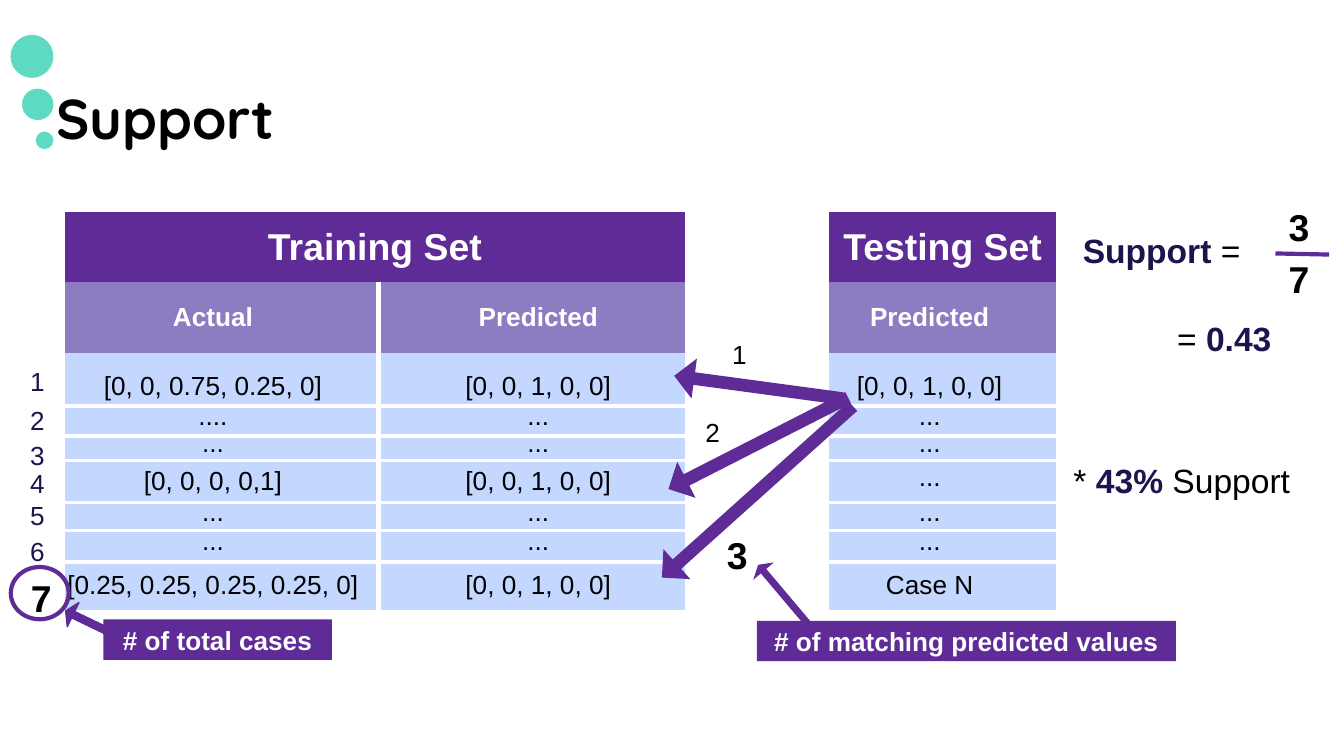
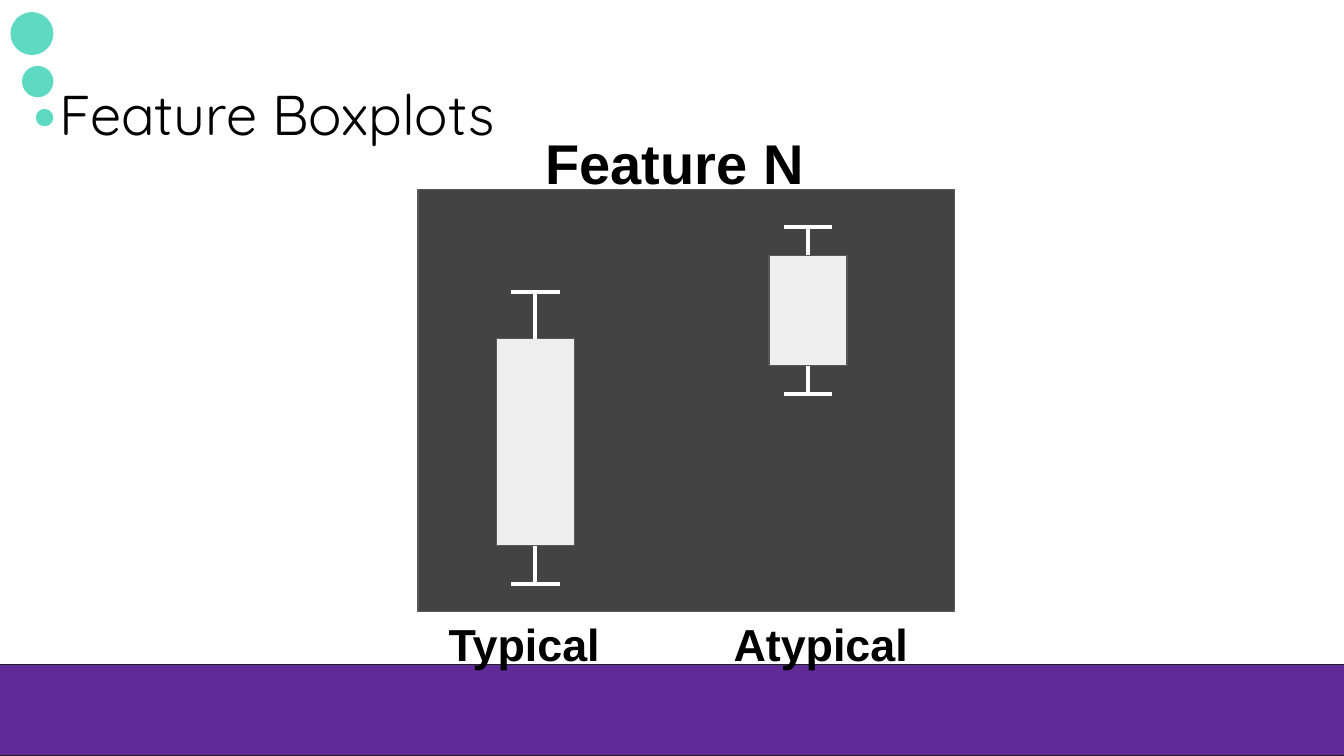
from lxml.etree import SubElement
from pptx import Presentation
from pptx.dml.color import RGBColor
from pptx.enum.shapes import MSO_CONNECTOR, MSO_SHAPE
from pptx.enum.text import MSO_ANCHOR, MSO_AUTO_SIZE, PP_ALIGN
from pptx.oxml.ns import qn
from pptx.util import Pt

PURPLE, LILAC, PALE, NAVY = "5E2B97", "8E7CC3", "C4D7FF", "20124D"
TEAL, WHITE, BLACK = "5FDAC2", "FFFFFF", "000000"
CHARCOAL, GREY, LIGHT, INK = "434343", "595959", "EEEEEE", "212121"
ROW_HEIGHTS = [37.4, 38, 28.5, 16, 13, 22.5, 15, 17, 25.5]
MATCH = "[0, 0, 1, 0, 0]"


def paint(color, value):
    """Give a colour format a hex value."""
    color.rgb = RGBColor.from_string(value)


def points(*lengths):
    """Turn numbers into point lengths."""
    return [Pt(length) for length in lengths]


def apply(target, values):
    """Set each attribute named in a dict of format values."""
    for name, value in values.items():
        setattr(target, name, value)


def write(frame, spans, size, align=PP_ALIGN.LEFT, anchor=MSO_ANCHOR.TOP, margin=7.2, font="Arial"):
    """Write one paragraph of (text, colour, bold) spans."""
    apply(frame, {"word_wrap": True, "auto_size": MSO_AUTO_SIZE.NONE, "vertical_anchor": anchor})
    apply(frame, {f"margin_{side}": Pt(margin) for side in ("left", "right", "top", "bottom")})
    para = frame.paragraphs[0]
    para.alignment = align
    for text, color, bold in spans:
        span = para.add_run()
        span.text = text
        apply(span.font, {"name": font, "size": Pt(size), "bold": bold})
        paint(span.font.color, color)


def add_label(page, box, spans, size, **layout):
    """Add a text box."""
    write(page.shapes.add_textbox(*points(*box)).text_frame, spans, size, **layout)


def add_figure(page, kind, box, fill=None, line=None, width=0.75, rotation=0):
    """Add a flat preset shape."""
    figure = page.shapes.add_shape(kind, *points(*box))
    figure.shadow.inherit = False
    figure.rotation = rotation
    if fill:
        figure.fill.solid()
        paint(figure.fill.fore_color, fill)
    else:
        figure.fill.background()
    if line:
        paint(figure.line.color, line)
        figure.line.width = Pt(width)
    else:
        figure.line.fill.background()
    return figure


def add_line(page, start, end, color):
    """Add a straight line without a shadow."""
    line = page.shapes.add_connector(MSO_CONNECTOR.STRAIGHT, *points(*start, *end))
    paint(line.line.color, color)
    line.line.width = Pt(2.25)
    SubElement(line._element.spPr, qn("a:effectLst"))
    return line


def add_arrow(page, box, rotation, adjustments, line=None):
    """Add a rotated purple block arrow."""
    arrow = add_figure(page, MSO_SHAPE.RIGHT_ARROW, box, PURPLE, line, rotation=rotation)
    for index, value in enumerate(adjustments):
        arrow.adjustments[index] = value


def add_heading(page, title, box, bold, dots_top):
    """Place the title and the three dots beside it."""
    apply(page.shapes.title, dict(zip(("left", "top", "width", "height"), points(*box))))
    write(page.shapes.title.text_frame, [(title, BLACK, bold)], 30, font="Quicksand")
    for size, offset in ((23, 0), (16.8, 28.8), (9.4, 51.8)):
        add_figure(page, MSO_SHAPE.OVAL, (28.6 - size, dots_top + offset, size, size), TEAL)


def set_borders(cell, widths):
    """Draw white cell borders of the given widths, and none at zero."""
    properties = cell._tc.get_or_add_tcPr()
    for side in "LRTB":
        width = widths.get(side, 0)
        border = SubElement(properties, qn(f"a:ln{side}"), w=str(Pt(width)))
        if width:
            fill = SubElement(border, qn("a:solidFill"))
            SubElement(fill, qn("a:srgbClr"), val=WHITE)
        else:
            SubElement(border, qn("a:noFill"))


def fill_cell(cell, text, row, margins):
    """Format one cell by the row it is in."""
    fill, color, size = [(PURPLE, WHITE, 20), (LILAC, WHITE, 14)][row] if row < 2 else (PALE, BLACK, 14)
    cell.fill.solid()
    paint(cell.fill.fore_color, fill)
    left, right = margins if row else (0, 0)
    apply(cell, {
        "margin_left": Pt(left), "margin_right": Pt(right), "margin_top": 0,
        "margin_bottom": Pt(3 if row == 2 else 0),
        "vertical_anchor": MSO_ANCHOR.BOTTOM if row == 2 else MSO_ANCHOR.MIDDLE,
    })
    para = cell.text_frame.paragraphs[0]
    para.alignment = PP_ALIGN.CENTER
    if text.startswith("..."):
        para.line_spacing = Pt(11)
    span = para.add_run()
    span.text = text
    apply(span.font, {"name": "Arial", "size": Pt(size), "bold": row < 2})
    paint(span.font.color, color)


def add_case_table(page, left, top, title, widths, margins, columns):
    """Add a data set as a table with a title row and a header row."""
    box = points(left, top, sum(widths), sum(ROW_HEIGHTS))
    table = page.shapes.add_table(len(ROW_HEIGHTS), len(widths), *box).table
    apply(table, {"first_row": False, "horz_banding": False})
    for row, height in zip(table.rows, ROW_HEIGHTS):
        row.height = Pt(height)
    last = len(widths) - 1
    for index, width in enumerate(widths):
        table.columns[index].width = Pt(width)
        for row in range(len(ROW_HEIGHTS)):
            cell = table.cell(row, index)
            set_borders(cell, {
                "L": 3 if row and index else 0,
                "R": 3 if row and index < last else 0,
                "T": 2.25 if row > 2 else 0,
                "B": 2.25 if 2 <= row < len(ROW_HEIGHTS) - 1 else 0,
            })
            text = columns[index][row - 1] if row else title if index == 0 else ""
            fill_cell(cell, text, row, margins[index])
    if last:
        table.cell(0, 0).merge(table.cell(0, last))


def add_case_numbers(page, left, top):
    """Number the training cases and ring the total."""
    for number, offset in enumerate((0, 20.9, 39.6, 54.8, 72, 90.8), 1):
        add_label(page, (left, top + offset, 26, 28), [(str(number), NAVY, False)], 14)
    add_label(page, (left + 0.5, top + 112.4, 26, 28), [("7", BLACK, True)], 20)
    add_figure(page, MSO_SHAPE.OVAL, (left - 3.2, top + 115.2, 31, 28), None, PURPLE, 2.25)


def add_matches(page, left, top):
    """Point from the testing case to each match and number them."""
    wide = (0.314, 0.5)
    add_arrow(page, (left + 15.2, top + 52.5, 108, 21.6), 153, wide)
    add_arrow(page, (left, top + 78.5, 137.5, 21.6), 138.1, wide)
    add_arrow(page, (left + 23.8, top + 22.4, 90.7, 21.6), 187.7, wide)
    for text, x, y, size in (("1", 48.2, 0, 14), ("2", 33.8, 41.8, 14), ("3", 45.4, 103.7, 20)):
        add_label(page, (left + x, top + y, 22.4, 28), [(text, BLACK, size == 20)], size)


def add_callout(page, box, text, arrow_box, rotation, line=None):
    """Add a purple tag with its small arrow."""
    add_arrow(page, arrow_box, rotation, (0.263, 0.31), line)
    tag = add_figure(page, MSO_SHAPE.RECTANGLE, box, PURPLE)
    write(tag.text_frame, [(text, WHITE, True)], 14, PP_ALIGN.CENTER, MSO_ANCHOR.MIDDLE)


def add_formula(page, left, top):
    """Work out the support value as a fraction."""
    add_label(page, (left + 5, top + 13.7, 118, 37.4), [("Support", NAVY, True), (" =", BLACK, False)], 18)
    add_line(page, (left + 115.3, top + 33.6), (left + 144, top + 34.2), PURPLE)
    for digit, offset in (("3", 0), ("7", 28.1)):
        add_label(page, (left + 115.3, top + offset, 22.4, 28), [(digit, BLACK, True)], 20)
    add_label(page, (left + 55.5, top + 63.4, 70.6, 31),
              [("= ", BLACK, False), ("0.43", NAVY, True)], 18, anchor=MSO_ANCHOR.MIDDLE)
    add_label(page, (left, top + 95, 150, 120.2),
              [("* ", BLACK, False), ("43%", NAVY, True), (" Support", BLACK, False)],
              18, anchor=MSO_ANCHOR.MIDDLE)


def add_boxplot(page, left, top, height, upper, lower):
    """Add one box with whiskers of the given lengths and their caps."""
    width, half_cap = 41.8, 13
    middle = left + width / 2
    body = add_figure(page, MSO_SHAPE.FLOWCHART_PROCESS, (left, top, width, height), LIGHT, GREY)
    for site, edge, end in ((0, top, top - upper), (2, top + height, top + height + lower)):
        whisker = add_line(page, (middle, edge), (middle, end), WHITE)
        whisker.begin_connect(body, site)
        add_line(page, (middle - half_cap, end), (middle + half_cap, end), WHITE)


def add_plot_panel(page, left, top, width, height):
    """Add the dark panel with both boxplots and their labels."""
    add_figure(page, MSO_SHAPE.FLOWCHART_PROCESS, (left, top, width, height), CHARCOAL, GREY)
    add_boxplot(page, left + 42, top + 80, 110.9, 25.2, 20.6)
    add_boxplot(page, left + 188, top + 35.3, 59.2, 15.1, 15)
    for text, x, y, label_width, size in (("Typical", 9.4, 221.8, 102.2, 24),
                                          ("Atypical", 162, 221.8, 113, 24),
                                          ("Feature N", 61.2, -39.6, 164.9, 30)):
        add_label(page, (left + x, top + y, label_width, 33), [(text, BLACK, True)], size)


def build_support(page):
    """Fill the slide that explains support."""
    for holder in list(page.placeholders):
        if holder.placeholder_format.idx:
            holder._element.getparent().remove(holder._element)
    add_heading(page, "Support", (23, 37.4, 666, 44), True, 18.7)
    actual = ["Actual", "[0, 0, 0.75, 0.25, 0]", "....", "...", "[0, 0, 0, 0,1]", "...", "...",
              "[0.25, 0.25, 0.25, 0.25, 0]"]
    predicted = ["Predicted", MATCH, "...", "...", MATCH, "...", "...", MATCH]
    testing = ["Predicted", MATCH] + ["..."] * 5 + ["Case N"]
    add_case_table(page, 34.6, 113.8, "Training Set", (168, 164.6), ((0, 9), (7, 0)), (actual, predicted))
    add_case_table(page, 444.2, 113.8, "Testing Set", (121.7,), ((0, 14),), (testing,))
    add_matches(page, 337, 174.2)
    add_callout(page, (405.4, 332.6, 224.6, 21.6), "# of matching predicted values",
                (398.9, 311, 41, 14.4), 229.8)
    add_case_numbers(page, 9, 188.6)
    add_callout(page, (55.4, 331.9, 122.4, 21.6), "# of total cases",
                (33.1, 329, 41, 14.4), 205.7, PURPLE)
    add_formula(page, 568, 102.2)


def build_boxplots(page):
    """Fill the slide that compares the feature boxplots."""
    add_figure(page, MSO_SHAPE.RECTANGLE, (-4.3, 355.9, 729.4, 48.8), PURPLE, INK)
    add_plot_panel(page, 223.9, 101.5, 287.3, 226.1)
    add_heading(page, "Feature Boxplots", (24.5, 35.3, 671, 47.5), False, 6.5)


def main():
    """Build and save the deck."""
    deck = Presentation()
    deck.slide_width, deck.slide_height = points(720, 405)
    for layout, build in ((0, build_support), (5, build_boxplots)):
        build(deck.slides.add_slide(deck.slide_layouts[layout]))
    deck.save("out.pptx")


if __name__ == "__main__":
    main()
